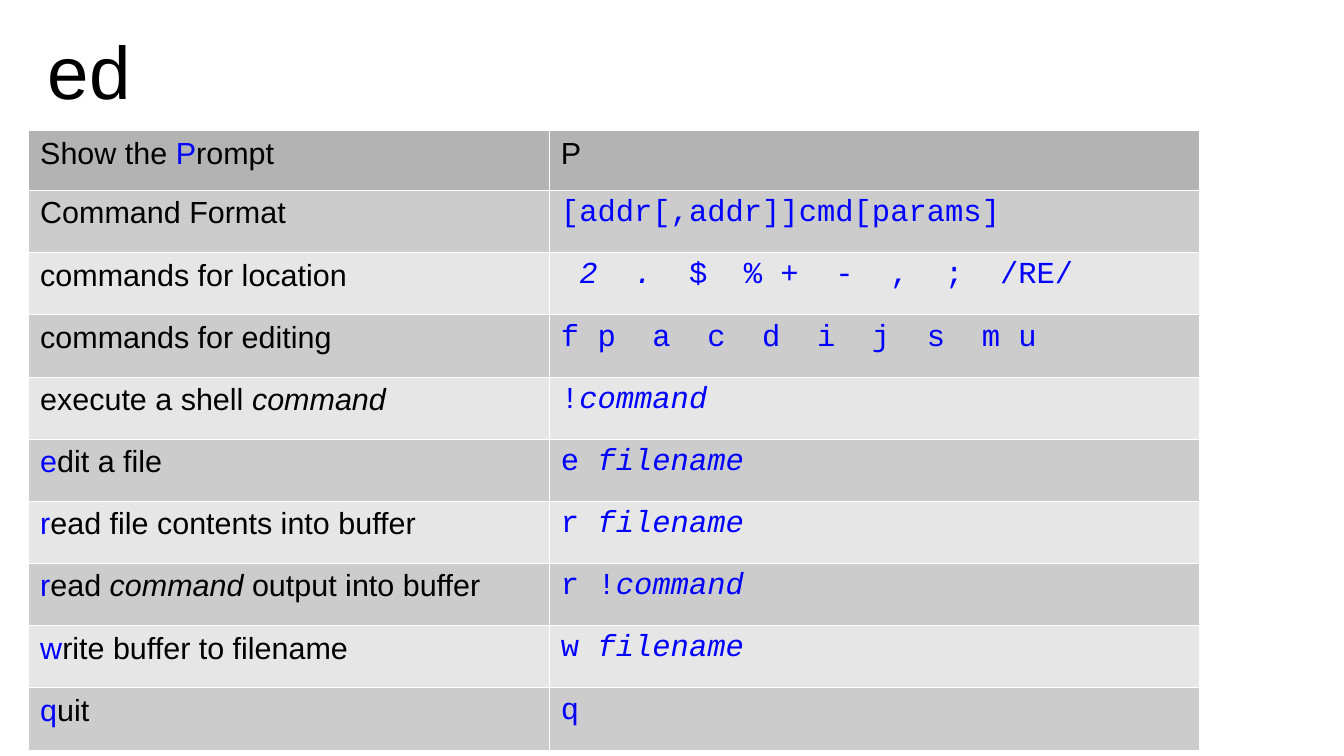
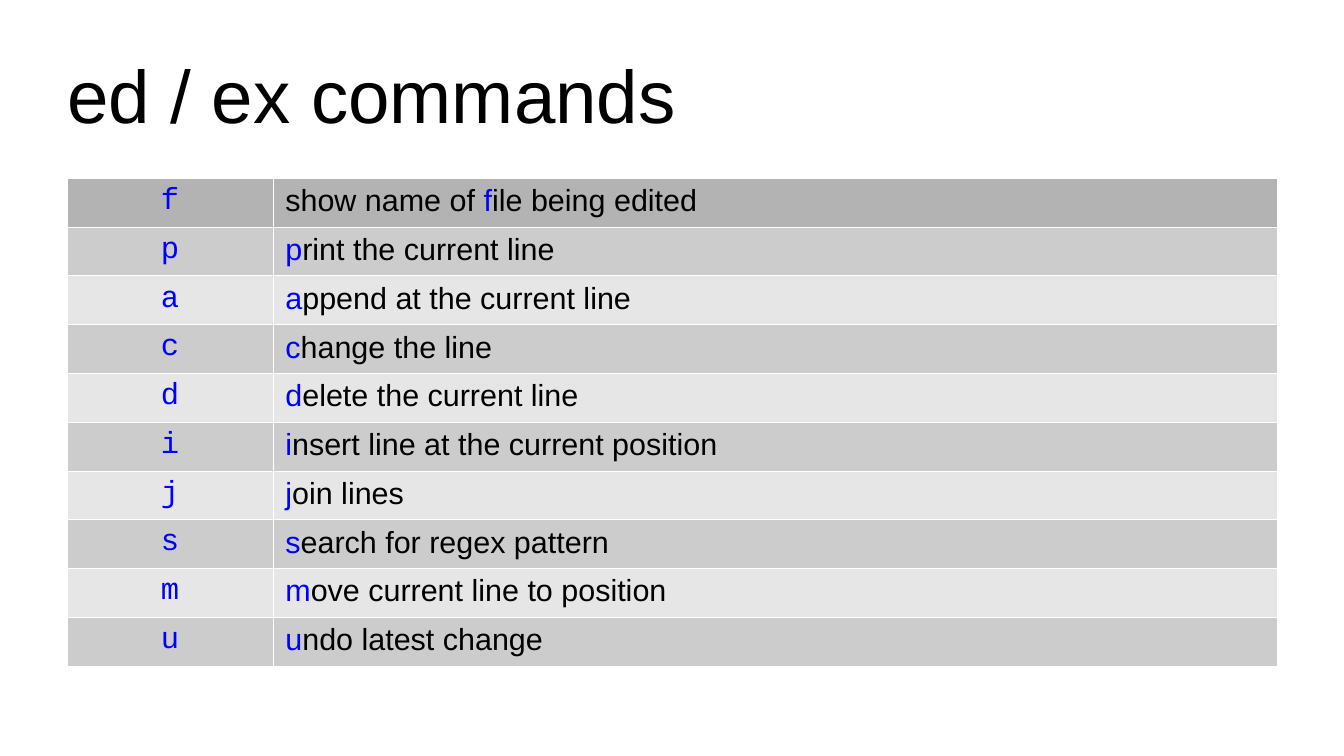
import pptx
import pptx.util
import pptx.dml.color
import pptx.enum.text
import pptx.oxml
import pptx.oxml.ns

Inches, Pt = pptx.util.Inches, pptx.util.Pt
ALIGN = pptx.enum.text.PP_ALIGN
ANCHOR = pptx.enum.text.MSO_ANCHOR

# Shared style
BLACK, BLUE, WHITE = "000000", "0000FF", "FFFFFF"
HEAD_FILL, BAND_FILLS = "B3B3B3", ("CCCCCC", "E6E6E6")
SANS, MONO = "Arial", "Courier New"
TITLE_SIZE, CELL_SIZE = 44, 18
BORDER_WIDTH = 0.06

# Content: *blue*, _italic_, `code`
SLIDES = [
    dict(
        title="ed", title_at=(0.39, 0.05, 9.37, 1.04),
        table_at=(0.23, 1.07), cols=(4.27, 5.33), row_heights=[0.49] + [0.51] * 9,
        aligns=(ALIGN.LEFT, ALIGN.LEFT),
        rows=[
            ("Show the *P*rompt", "P"),
            ("Command Format", "`[addr[,addr]]cmd[params]`"),
            ("commands for location", "` _2  .  _$  % +  -  ,  ;  /RE/`"),
            ("commands for editing", "`f p  a  c  d  i  j  s  m u`"),
            ("execute a shell _command_", "`!_command_`"),
            ("*e*dit a file", "`e _filename_`"),
            ("*r*ead file contents into buffer", "`r_ filename_`"),
            ("*r*ead _command_ output into buffer", "`r !_command_`"),
            ("*w*rite buffer to filename", "`w_ filename_`"),
            ("*q*uit", "`q`"),
        ],
    ),
    dict(
        title="ed / ex commands", title_at=(0.55, 0.25, 9.92, 1.04),
        table_at=(0.55, 1.46), cols=(1.69, 8.23), row_heights=[0.4] * 10,
        aligns=(ALIGN.CENTER, ALIGN.LEFT),
        rows=[
            ("`f`", "show name of *f*ile being edited"),
            ("`p`", "*p*rint the current line"),
            ("`a`", "*a*ppend at the current line"),
            ("`c`", "*c*hange the line"),
            ("`d`", "*d*elete the current line"),
            ("`i`", "*i*nsert line at the current position"),
            ("`j`", "*j*oin lines"),
            ("`s`", "*s*earch for regex pattern"),
            ("`m`", "*m*ove current line to position"),
            ("`u`", "*u*ndo latest change"),
        ],
    ),
]


def rgb(color):
    return pptx.dml.color.RGBColor.from_string(color)


def add_run(p, text, size, color=BLACK, **formats):
    r = p.add_run()
    r.text = text
    r.font.size = Pt(size)
    r.font.color.rgb = rgb(color)
    for name, value in formats.items():
        setattr(r.font, name, value)


def split_marks(text):
    """Yield each stretch of text with the set of marks open around it."""
    marks, stretch = set(), ""
    for char in text:
        if char in "*_`":
            if stretch:
                yield stretch, marks
            marks, stretch = marks ^ {char}, ""
        else:
            stretch += char
    if stretch:
        yield stretch, marks


def add_borders(cell):
    tc_pr = cell._tc.get_or_add_tcPr()
    for side in ("lnL", "lnR", "lnT", "lnB"):
        tc_pr.append(pptx.oxml.parse_xml(
            f'<a:{side} {pptx.oxml.ns.nsdecls("a")} w="{int(Pt(BORDER_WIDTH))}">'
            f'<a:solidFill><a:srgbClr val="{WHITE}"/></a:solidFill></a:{side}>'))


def fill_cell(cell, text, fill, align):
    add_borders(cell)
    cell.fill.solid()
    cell.fill.fore_color.rgb = rgb(fill)
    p = cell.text_frame.paragraphs[0]
    p.alignment = align
    for stretch, marks in split_marks(text):
        add_run(p, stretch, CELL_SIZE, BLUE if marks & {"*", "`"} else BLACK,
                name=MONO if "`" in marks else SANS, italic="_" in marks)


def add_title(s, text, box):
    sp = s.shapes.title
    sp.left, sp.top, sp.width, sp.height = map(Inches, box)
    tf = sp.text_frame
    formats = dict(margin_left=0, margin_top=0, margin_right=0, margin_bottom=0,
                   vertical_anchor=ANCHOR.MIDDLE, word_wrap=True,
                   auto_size=pptx.enum.text.MSO_AUTO_SIZE.NONE)
    for name, value in formats.items():
        setattr(tf, name, value)
    p = tf.paragraphs[0]
    p.alignment = ALIGN.LEFT
    add_run(p, text, TITLE_SIZE, name=SANS)


def add_command_table(s, rows, at, cols, row_heights, aligns):
    size = sum(cols), sum(row_heights)
    table = s.shapes.add_table(len(rows), len(cols), *map(Inches, at + size)).table
    table.first_row = table.horz_banding = False
    for column, width in zip(table.columns, cols):
        column.width = Inches(width)
    for i, (row, height) in enumerate(zip(rows, row_heights)):
        table.rows[i].height = Inches(height)
        fill = BAND_FILLS[(i - 1) % 2] if i else HEAD_FILL
        for j, text in enumerate(row):
            fill_cell(table.cell(i, j), text, fill, aligns[j])


def main():
    prs = pptx.Presentation()
    prs.slide_width, prs.slide_height = Inches(11.02), Inches(6.2)
    title_only = prs.slide_layouts[5]
    for page in SLIDES:
        s = prs.slides.add_slide(title_only)
        add_title(s, page["title"], page["title_at"])
        add_command_table(s, page["rows"], page["table_at"], page["cols"],
                          page["row_heights"], page["aligns"])
    prs.save("out.pptx")


if __name__ == "__main__":
    main()
